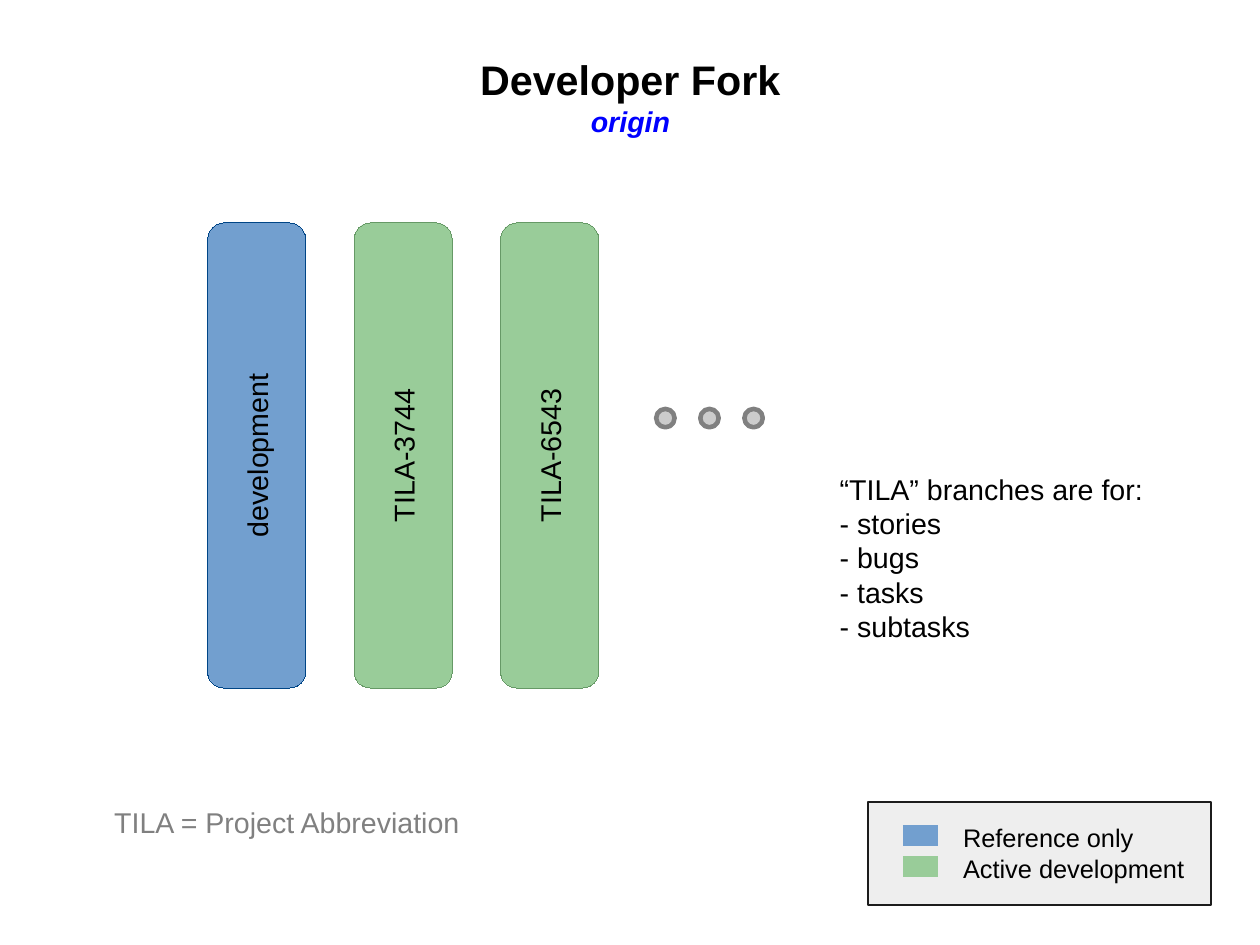
"""Draw the branches of a developer fork with a legend."""
from dataclasses import dataclass

from lxml import etree
from pptx import Presentation
from pptx.dml.color import RGBColor
from pptx.enum.shapes import MSO_CONNECTOR, MSO_SHAPE
from pptx.enum.text import MSO_ANCHOR, MSO_AUTO_SIZE, PP_ALIGN
from pptx.oxml.ns import qn
from pptx.shapes.autoshape import Shape
from pptx.util import Cm, Pt

RECT, ROUND, OVAL = MSO_SHAPE.RECTANGLE, MSO_SHAPE.ROUNDED_RECTANGLE, MSO_SHAPE.OVAL
STRAIGHT = MSO_CONNECTOR.STRAIGHT
TOP, MIDDLE = MSO_ANCHOR.TOP, MSO_ANCHOR.MIDDLE
LEFT, CENTER = PP_ALIGN.LEFT, PP_ALIGN.CENTER
FIXED = MSO_AUTO_SIZE.NONE

BLACK = RGBColor(0x00, 0x00, 0x00)
LINK = RGBColor(0x00, 0x00, 0xFF)
BLUE = RGBColor(0x72, 0x9F, 0xCF)
NAVY = RGBColor(0x00, 0x45, 0x86)
GREEN = RGBColor(0x99, 0xCC, 0x99)
MOSS = RGBColor(0x66, 0x99, 0x66)
GRAY = RGBColor(0x80, 0x80, 0x80)
SILVER = RGBColor(0xCC, 0xCC, 0xCC)
PALE = RGBColor(0xEE, 0xEE, 0xEE)
INK = RGBColor(0x1C, 0x1C, 0x1C)

WIDTH, HEIGHT = Cm(28), Cm(21)
COLS, ROWS = 24, 18
FONT = "Arial"
HAIR = 0.01


@dataclass
class Box:
    """Hold a place in columns and rows."""
    left: float
    top: float
    width: float
    height: float

    def place(self) -> tuple[int, int, int, int]:
        """Return the place in slide units."""
        return (col(self.left), row(self.top), col(self.width), row(self.height))


@dataclass
class Branch:
    """Describe one branch bar."""
    name: str
    fill: RGBColor
    edge: RGBColor


@dataclass
class Key:
    """Describe one legend entry."""
    label: str
    color: RGBColor


BRANCHES = [
    Branch("development", BLUE, NAVY),
    Branch("TILA-3744", GREEN, MOSS),
    Branch("TILA-6543", GREEN, MOSS),
]
KEYS = [Key("Reference only", BLUE), Key("Active development", GREEN)]
USES = ["“TILA” branches are for:", "- stories", "- bugs", "- tasks", "- subtasks"]


def col(count: float) -> int:
    """Return the length of some columns."""
    return round(count * WIDTH / COLS)


def row(count: float) -> int:
    """Return the length of some rows."""
    return round(count * HEIGHT / ROWS)


def write(shape: Shape, *lines: str, size: float = 18, color: RGBColor = BLACK,
          bold: bool = False, italic: bool = False, align: PP_ALIGN = LEFT,
          anchor: MSO_ANCHOR = TOP) -> None:
    """Add lines of text in one format."""
    frame = shape.text_frame
    frame.word_wrap, frame.auto_size = True, FIXED
    frame.vertical_anchor = anchor
    for line in lines:
        para = frame.add_paragraph() if frame.text else frame.paragraphs[0]
        para.alignment = align
        run = para.add_run()
        run.text = line
        font = run.font
        font.name, font.size = FONT, Pt(size)
        font.bold, font.italic = bold, italic
        font.color.rgb = color


def draw(shapes, kind: MSO_SHAPE, box: Box, fill: RGBColor, edge: RGBColor,
         weight: float) -> Shape:
    """Add a filled and outlined shape."""
    shape = shapes.add_shape(kind, *box.place())
    shape.shadow.inherit = False
    shape.fill.solid()
    shape.fill.fore_color.rgb = fill
    shape.line.color.rgb = edge
    shape.line.width = Pt(weight)
    return shape


def label(shapes, box: Box, *lines: str, size: float = 18,
          color: RGBColor = BLACK) -> None:
    """Add a text box."""
    write(shapes.add_textbox(*box.place()), *lines, size=size, color=color)


def swatch(shapes, top: float, color: RGBColor) -> None:
    """Add a thick line as a legend swatch."""
    line = shapes.add_connector(STRAIGHT, col(17.2), row(top), col(17.86), row(top))
    line.line.color.rgb = color
    line.line.width = Pt(12.95)
    etree.SubElement(line._element.spPr, qn("a:effectLst"))


def legend(shapes) -> None:
    """Add the legend as a group."""
    group = shapes.add_group_shape().shapes
    draw(group, RECT, Box(16.54, 15.28, 6.53, 1.96), PALE, INK, 1.45)
    label(group, Box(18.13, 15.56, 5, 1.31), *[key.label for key in KEYS], size=16)
    for index, key in enumerate(KEYS):
        swatch(group, 15.91 + 0.6 * index, key.color)


def main() -> None:
    """Build and save the slide."""
    deck = Presentation()
    deck.slide_width, deck.slide_height = WIDTH, HEIGHT
    slide = deck.slides.add_slide(deck.slide_layouts[5])
    shapes = slide.shapes

    title = shapes.title
    title.left, title.top, title.width, title.height = Box(8.84, 0.92, 6.34, 1.74).place()
    write(title, "Developer Fork", size=26, bold=True, align=CENTER)
    write(title, "origin", color=LINK, bold=True, italic=True, align=CENTER)

    for index, branch in enumerate(BRANCHES):
        box = Box(0.46 + 2.79 * index, 7.74, 8.86, 1.87)
        bar = draw(shapes, ROUND, box, branch.fill, branch.edge, HAIR)
        bar.rotation = 270
        write(bar, branch.name, align=CENTER, anchor=MIDDLE)
    for index in range(3):
        draw(shapes, OVAL, Box(12.5 + 0.84 * index, 7.79, 0.35, 0.35),
             SILVER, GRAY, 2.89)

    label(shapes, Box(15.78, 8.88, 7.04, 3.27), *USES)
    label(shapes, Box(1.96, 15.23, 7.04, 0.83), "TILA = Project Abbreviation", color=GRAY)
    legend(shapes)
    deck.save("out.pptx")


if __name__ == "__main__":
    main()
